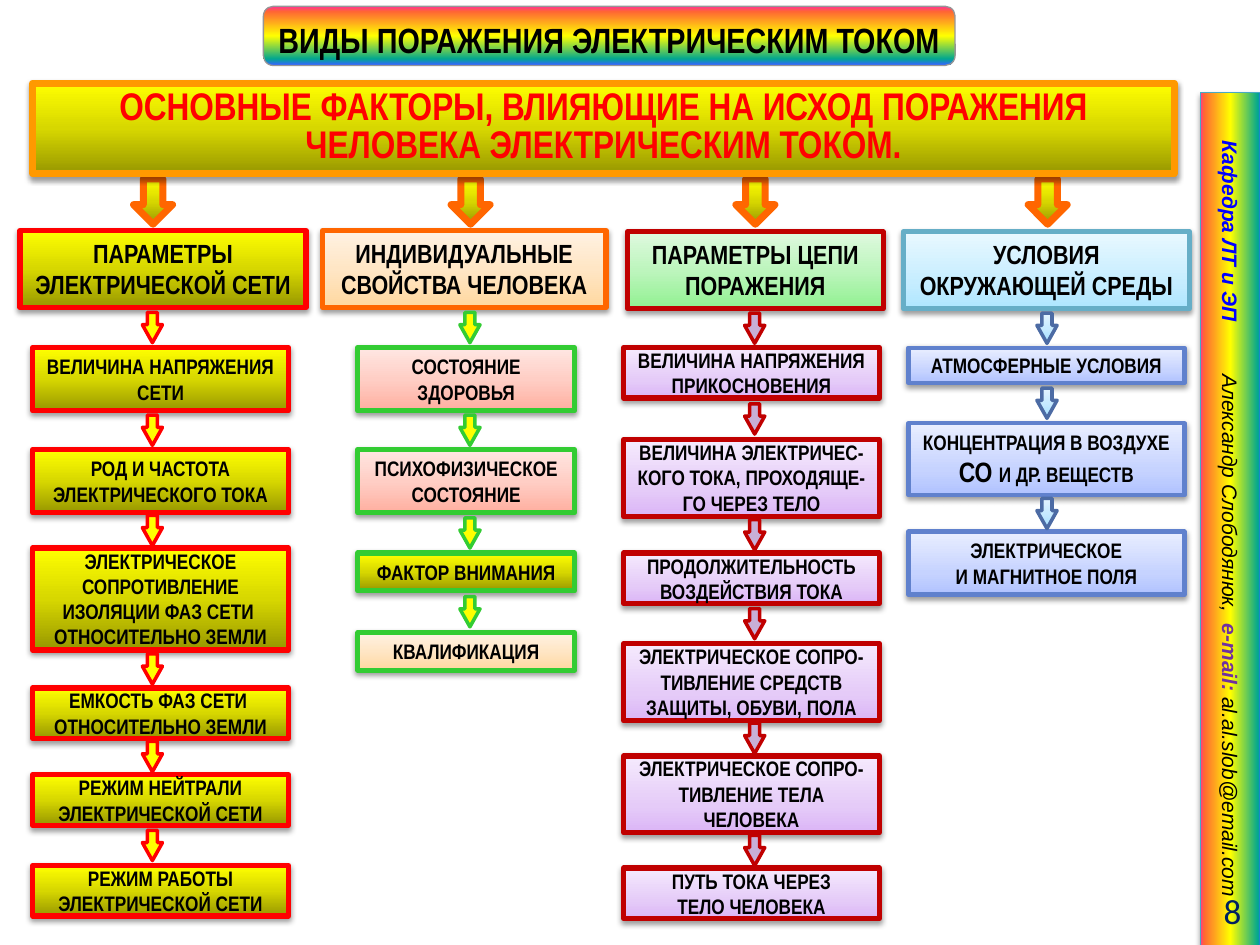
from dataclasses import dataclass

from lxml import etree
from pptx import Presentation
from pptx.dml.color import RGBColor
from pptx.enum import shapes, text
from pptx.oxml import ns
from pptx.util import Inches, Pt

Stops = list[tuple[int, RGBColor]]
KIND = shapes.MSO_SHAPE
ALIGN = text.PP_ALIGN
ANCHOR = text.MSO_ANCHOR


def tint(*pairs: tuple[int, str]) -> Stops:
    return [(spot, RGBColor.from_string(code)) for spot, code in pairs]


# Colours
BLACK = RGBColor(0, 0, 0)
RED = RGBColor(0xFF, 0, 0)
AMBER = RGBColor(0xFF, 0x99, 0)
ORANGE = RGBColor(0xFF, 0x66, 0)
YELLOW = RGBColor(0xFF, 0xFF, 0)
GREEN = RGBColor(0x33, 0xCC, 0x33)
CRIMSON = RGBColor(0xC0, 0, 0)
LILAC = RGBColor(0xC8, 0xAF, 0xD6)
BLUE = RGBColor(0, 0, 0xFF)
NAVY = RGBColor(0, 0x20, 0x60)
PURPLE = RGBColor(0x70, 0x30, 0xA0)
STEEL = RGBColor(0x4C, 0x6B, 0xA4)
AZURE = RGBColor(0x60, 0x81, 0xCD)
AQUA = RGBColor(0x66, 0xAE, 0xC7)
TEAL = RGBColor(0x46, 0xAA, 0xC5)
GREY = RGBColor(0x96, 0x96, 0x96)

# Gradients
GOLD = tint((0, "979700"), (50, "D7D700"), (100, "FFFF00"))
PEACH = tint((0, "FFD8A0"), (50, "FFE6C5"), (100, "FFF2E3"))
ROSE = tint((0, "FFAFA0"), (50, "FFCEC5"), (100, "FFE7E3"))
MINT = tint((0, "91F191"), (50, "BDF5BD"), (100, "DFF9DF"))
VIOLET = tint((0, "DBB5F6"), (35, "E5CBF8"), (100, "F5EAFD"))
SKY = tint((0, "AEE6FF"), (35, "C6EDFF"), (100, "E9F8FF"))
ICE = tint((0, "A3DFFF"), (50, "C7EAFF"), (100, "E4F4FF"))
PALE = tint((0, "B0C2FF"), (35, "C6D3FF"), (100, "E9EEFF"))
SIDE = tint((0, "FF3399"), (6, "FF6633"), (50, "FFFF00"), (96, "01A78F"), (100, "3366FF"))
BOW = tint((0, "FF3399"), (9, "FF6633"), (50, "FFFF00"), (89, "01A78F"), (99, "3366FF"))


@dataclass
class Item:
    top: float
    high: float
    text: str
    pad: float = 0.05
    fill: Stops | None = None
    big: str = ""  # larger words that open the last line
    line: float | None = None


@dataclass
class Column:
    mid: float  # centre of the arrows
    head: tuple[float, float, float]  # left, top, width
    title: str
    shade: Stops
    edge: RGBColor
    left: float
    wide: float
    fill: Stops
    rim: RGBColor
    line: float
    dart: Stops | RGBColor
    trim: RGBColor
    items: list[Item]


COLUMNS = [
    Column(1.21, (0.16, 1.83, 2.27), "ПАРАМЕТРЫ ЭЛЕКТРИЧЕСКОЙ СЕТИ", GOLD, RED,
           0.26, 2.03, GOLD, RED, 3, YELLOW, RED, [
               Item(2.76, 0.5, "ВЕЛИЧИНА НАПРЯЖЕНИЯ\nСЕТИ"),
               Item(3.57, 0.5, "РОД И ЧАСТОТА\nЭЛЕКТРИЧЕСКОГО ТОКА"),
               Item(4.35, 0.81, "ЭЛЕКТРИЧЕСКОЕ\nСОПРОТИВЛЕНИЕ\n"
                    "ИЗОЛЯЦИИ ФАЗ СЕТИ \nОТНОСИТЕЛЬНО ЗЕМЛИ", 0),
               Item(5.46, 0.4, "ЕМКОСТЬ ФАЗ СЕТИ \nОТНОСИТЕЛЬНО ЗЕМЛИ", 0),
               Item(6.15, 0.4, "РЕЖИМ НЕЙТРАЛИ\nЭЛЕКТРИЧЕСКОЙ СЕТИ", 0),
               Item(6.87, 0.4, "РЕЖИМ РАБОТЫ\nЭЛЕКТРИЧЕСКОЙ СЕТИ", 0)]),
    Column(3.73, (2.56, 1.83, 2.25), "ИНДИВИДУАЛЬНЫЕ СВОЙСТВА ЧЕЛОВЕКА", PEACH, ORANGE,
           2.84, 1.72, ROSE, GREEN, 3, YELLOW, GREEN, [
               Item(2.76, 0.5, "СОСТОЯНИЕ ЗДОРОВЬЯ"),
               Item(3.57, 0.5, "ПСИХОФИЗИЧЕСКОЕ\nСОСТОЯНИЕ"),
               Item(4.39, 0.3, "ФАКТОР ВНИМАНИЯ", fill=GOLD),
               Item(5.02, 0.3, "КВАЛИФИКАЦИЯ", fill=PEACH, line=2.75)]),
    Column(5.99, (4.98, 1.84, 2.03), "ПАРАМЕТРЫ ЦЕПИ\nПОРАЖЕНИЯ", MINT, CRIMSON,
           4.95, 2.03, VIOLET, CRIMSON, 3, LILAC, CRIMSON, [
               Item(2.76, 0.4, "ВЕЛИЧИНА НАПРЯЖЕНИЯ\nПРИКОСНОВЕНИЯ", 0),
               Item(3.49, 0.61, "ВЕЛИЧИНА ЭЛЕКТРИЧЕС-\nКОГО ТОКА, ПРОХОДЯЩЕ-\n"
                    "ГО ЧЕРЕЗ ТЕЛО", 0),
               Item(4.39, 0.4, "ПРОДОЛЖИТЕЛЬНОСТЬ\nВОЗДЕЙСТВИЯ ТОКА", 0),
               Item(5.11, 0.61, "ЭЛЕКТРИЧЕСКОЕ СОПРО-\n"
                    "ТИВЛЕНИЕ СРЕДСТВ ЗАЩИТЫ, ОБУВИ, ПОЛА", 0),
               Item(6, 0.61, "ЭЛЕКТРИЧЕСКОЕ СОПРО-\nТИВЛЕНИЕ ТЕЛА ЧЕЛОВЕКА", 0),
               Item(6.89, 0.4, "ПУТЬ ТОКА ЧЕРЕЗ\nТЕЛО ЧЕЛОВЕКА", 0)]),
    Column(8.31, (7.17, 1.84, 2.27), "УСЛОВИЯ ОКРУЖАЮЩЕЙ СРЕДЫ", SKY, AQUA,
           7.21, 2.19, PALE, AZURE, 2.5, ICE, STEEL, [
               Item(2.76, 0.28, "АТМОСФЕРНЫЕ УСЛОВИЯ", 0.04),
               Item(3.36, 0.57, "КОНЦЕНТРАЦИЯ В ВОЗДУХЕ\nИ ДР. ВЕЩЕСТВ", big="СО "),
               Item(4.22, 0.5, "ЭЛЕКТРИЧЕСКОЕ\nИ МАГНИТНОЕ ПОЛЯ")]),
]
HEAD = 0.61


def put(para, words: str, *, size: float = 12, font: str = "Arial Narrow",
        color: RGBColor = BLACK, bold: bool = True, slant: bool = False, gap: int = 0) -> None:
    """Add one run; gap is extra letter spacing in points."""
    run = para.add_run()
    run.text = words
    run.font.size, run.font.name = Pt(size), font
    run.font.bold, run.font.italic = bold, slant
    run.font.color.rgb = color
    if gap:
        run.font._element.set("spc", str(gap * 100))


def paint(shape, fill: Stops | RGBColor, angle: int) -> None:
    if isinstance(fill, RGBColor):
        shape.fill.solid()
        shape.fill.fore_color.rgb = fill
        return
    shape.fill.gradient()
    shape.fill.gradient_angle = angle
    stops = shape._element.spPr.find(".//" + ns.qn("a:gsLst"))
    for old in list(stops):
        stops.remove(old)
    for spot, color in fill:
        stop = etree.SubElement(stops, ns.qn("a:gs"), pos=str(spot * 1000))
        etree.SubElement(stop, ns.qn("a:srgbClr"), val=str(color))


def shade(shape) -> None:
    """Cast a soft shadow straight down."""
    effects = shape._element.spPr.find(ns.qn("a:effectLst"))
    outer = etree.SubElement(effects, ns.qn("a:outerShdw"), blurRad="40000", dist="20000",
                             dir="5400000", rotWithShape="0")
    color = etree.SubElement(outer, ns.qn("a:srgbClr"), val="000000")
    etree.SubElement(color, ns.qn("a:alpha"), val="38000")


def draw(slide, kind, left: float, top: float, wide: float, high: float,
         fill: Stops | RGBColor, rim: RGBColor, line: float, angle: int = 90):
    shape = slide.shapes.add_shape(kind, Inches(left), Inches(top), Inches(wide), Inches(high))
    shape.shadow.inherit = False
    paint(shape, fill, angle)
    shape.line.color.rgb = rim
    shape.line.width = Pt(line)
    return shape


def box(slide, left: float, top: float, wide: float, high: float, words: str, fill: Stops,
        rim: RGBColor, line: float, pad: float = 0.05, big: str = "",
        lead: float | None = None, **form) -> None:
    shape = draw(slide, KIND.RECTANGLE, left, top, wide, high, fill, rim, line)
    shade(shape)
    frame = shape.text_frame
    frame.word_wrap = True
    frame.auto_size = text.MSO_AUTO_SIZE.SHAPE_TO_FIT_TEXT
    frame.vertical_anchor = ANCHOR.TOP
    frame.margin_top = frame.margin_bottom = Inches(pad)
    if pad == 0.04:
        frame.margin_left = frame.margin_right = Inches(pad)
    rows = words.split("\n")
    for n, row in enumerate(rows):
        para = frame.add_paragraph() if n else frame.paragraphs[0]
        para.alignment = ALIGN.CENTER
        if lead:
            para.line_spacing = Pt(lead)
        if big and n == len(rows) - 1:
            put(para, big, size=16)
        put(para, row, **form)


def arrow(slide, mid: float, top: float, end: float, fill: Stops | RGBColor,
          rim: RGBColor) -> None:
    """Centre a small arrow in the gap from top to end."""
    shape = draw(slide, KIND.DOWN_ARROW, mid - 0.08, (top + end) / 2 - 0.12, 0.16, 0.24,
                 fill, rim, 2)
    shape.adjustments[0], shape.adjustments[1] = 0.5, 0.89


def main() -> None:
    deck = Presentation()
    deck.slide_width, deck.slide_height = Inches(10), Inches(7.5)
    slide = deck.slides.add_slide(deck.slide_layouts[6])

    # Side strip and page number
    strip = draw(slide, KIND.RECTANGLE, 6.38, 3.88, 6.77, 0.48, SIDE, TEAL, 0.75)
    strip.rotation = 90
    shade(strip)
    strip.text_frame.word_wrap = True
    strip.text_frame.vertical_anchor = ANCHOR.MIDDLE
    para = strip.text_frame.paragraphs[0]
    para.alignment = ALIGN.CENTER
    for words, color, bold, gap in [
            ("Кафедра ЛТ и ЭП", BLUE, True, 0), (" ", BLUE, True, 27),
            ("Александр Слободянюк,", BLACK, False, 0), (" ", BLACK, False, 3),
            ("e-mail: ", PURPLE, True, 0), ("al.al.slob@email.com", BLACK, False, 0)]:
        put(para, words, font="Arial", color=color, bold=bold, slant=True, gap=gap)
    page = slide.shapes.add_textbox(Inches(8.86), Inches(7.03), Inches(1.09), Inches(0.4))
    page.text_frame.word_wrap = True
    page.text_frame.vertical_anchor = ANCHOR.MIDDLE
    para = page.text_frame.paragraphs[0]
    para.alignment = ALIGN.RIGHT
    put(para, "8", size=20, font="Calibri", color=NAVY, bold=False)

    # Title
    title = draw(slide, KIND.ROUNDED_RECTANGLE, 2.09, 0.05, 5.49, 0.47, BOW, GREY, 0.75, 270)
    frame = title.text_frame
    frame.word_wrap = True
    frame.vertical_anchor = ANCHOR.MIDDLE
    frame.margin_left = frame.margin_right = Inches(0.04)
    frame.margin_top = frame.margin_bottom = Inches(0.04)
    para = frame.paragraphs[0]
    para.alignment, para.line_spacing = ALIGN.CENTER, Pt(28)
    put(para, "ВИДЫ ПОРАЖЕНИЯ ЭЛЕКТРИЧЕСКИМ ТОКОМ", size=20)

    # Main heading over its four arrows
    for col in COLUMNS:
        draw(slide, KIND.DOWN_ARROW, col.mid - 0.15, 1.42, 0.31, 0.36, GOLD, ORANGE, 4)
    box(slide, 0.26, 0.66, 9.06, 0.72,
        "ОСНОВНЫЕ ФАКТОРЫ, ВЛИЯЮЩИЕ НА ИСХОД ПОРАЖЕНИЯ ЧЕЛОВЕКА ЭЛЕКТРИЧЕСКИМ ТОКОМ.",
        GOLD, AMBER, 4, lead=22, size=22, color=RED)

    # Columns of factors
    for col in COLUMNS:
        left, top, wide = col.head
        box(slide, left, top, wide, HEAD, col.title, col.shade, col.edge, 3, size=15)
        end = top + HEAD
        for item in col.items:
            box(slide, col.left, item.top, col.wide, item.high, item.text,
                item.fill or col.fill, col.rim, item.line or col.line, item.pad, item.big)
            arrow(slide, col.mid, end, item.top, col.dart, col.trim)
            end = item.top + item.high

    deck.save("out.pptx")


if __name__ == "__main__":
    main()
